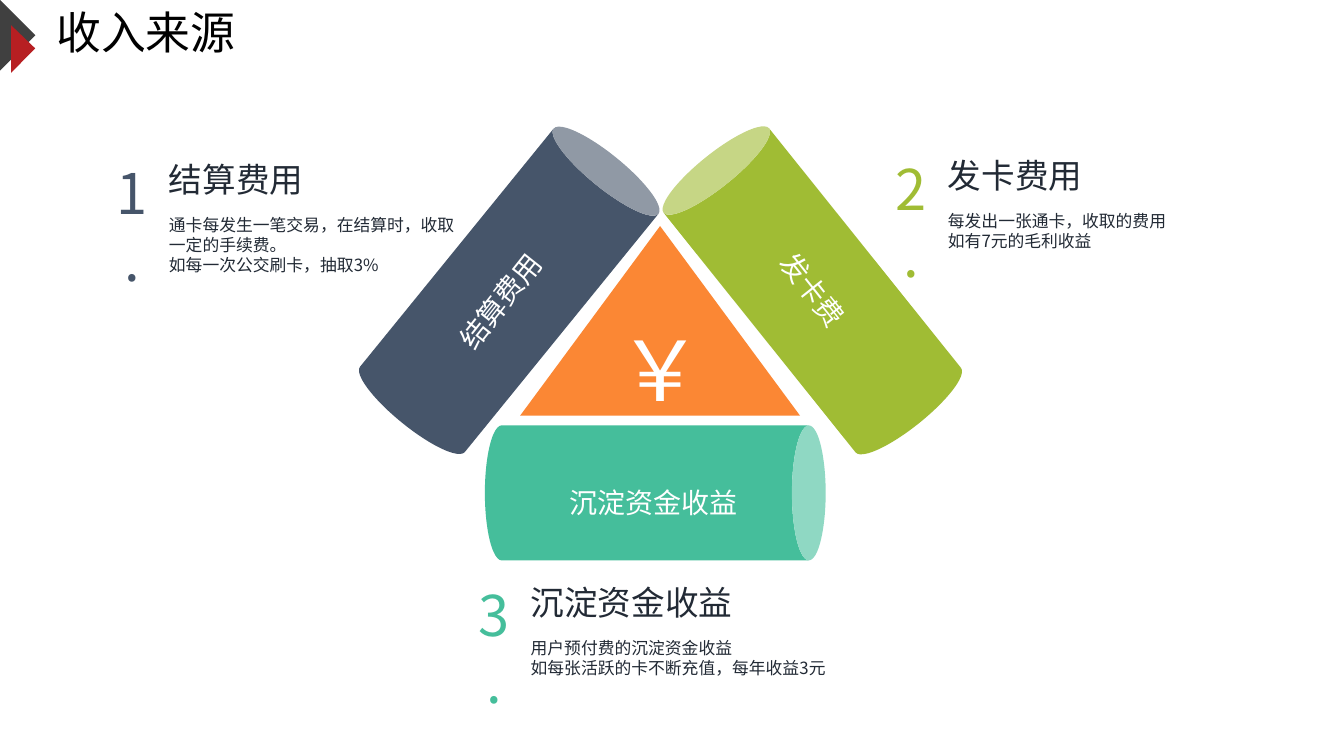
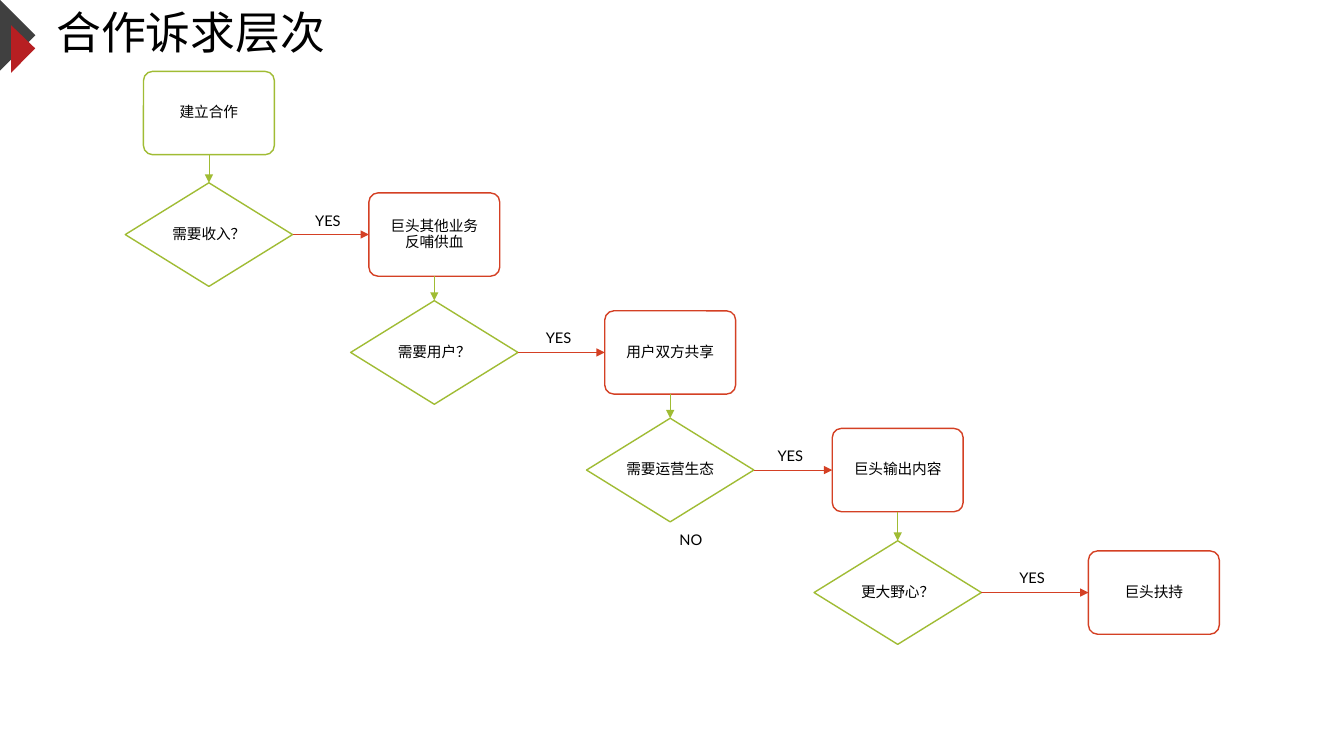
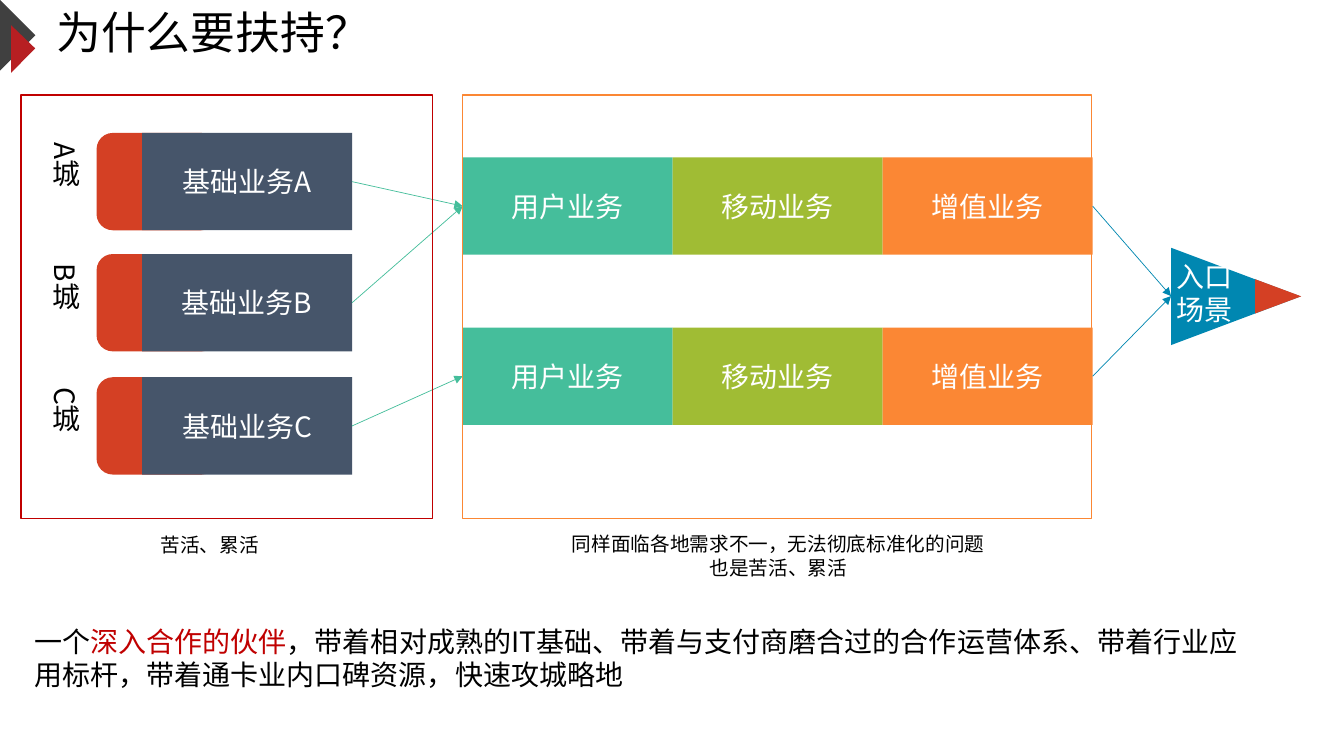
from lxml import etree
from pptx import Presentation
from pptx.dml.color import RGBColor
from pptx.enum import shapes, text
from pptx.oxml import ns
from pptx.util import Pt

SANS, LATIN = "Noto Sans CJK SC", "Lato"
BLACK, WHITE, INK = "000000", "FFFFFF", "222A35"
SLATE, GREEN, TEAL, ORANGE = "46556A", "A0BC34", "45BE9B", "FB8734"
RED, BLUE, CRIMSON = "D44024", "0087B1", "C00000"
KIND = shapes.MSO_SHAPE
LEFT, CENTER = text.PP_ALIGN.LEFT, text.PP_ALIGN.CENTER
TOP, MIDDLE = text.MSO_ANCHOR.TOP, text.MSO_ANCHOR.MIDDLE
TOP_SITE, LEFT_SITE, BOTTOM_SITE, RIGHT_SITE = range(4)


def rgb(value):
    return RGBColor.from_string(value)


class Deck:
    """Holds the shared style and the current slide, measured in points."""

    def __init__(self):
        self.prs = Presentation()
        self.prs.slide_width, self.prs.slide_height = Pt(960), Pt(540)
        self.layout = self.prs.slide_layouts[5]
        self.s = self.prs.slides.add_slide(self.layout)
        self.place(self.layout.placeholders[0], 33, 6.5, 675, 37.5)
        for color, points in (
            ("404040", [(0, 0), (25.2, 25.2), (0, 50.4)]),
            ("B71F22", [(7.9, 18), (25.2, 34.6), (7.9, 52)]),
        ):
            self.layout.shapes.element.append(self.outline(points, color).element)

    def start(self, title):
        if self.s.shapes.title.text_frame.text:
            self.s = self.prs.slides.add_slide(self.layout)
        tf = self.s.shapes.title.text_frame
        tf.auto_size = text.MSO_AUTO_SIZE.NONE
        tf.vertical_anchor = MIDDLE
        self.put_text(tf, title, 32, BLACK, LEFT, spacing=0.9)

    def place(self, sp, x, y, w, h):
        sp.left, sp.top, sp.width, sp.height = Pt(x), Pt(y), Pt(w), Pt(h)

    def paint(self, sp, fill=None, line=None):
        sp.shadow.inherit = False
        if fill:
            sp.fill.solid()
            sp.fill.fore_color.rgb = rgb(fill)
        else:
            sp.fill.background()
        if line:
            sp.line.color.rgb = rgb(line)
            sp.line.width = Pt(1)
        else:
            sp.line.fill.background()
        return sp

    def outline(self, points, fill):
        first, *rest = [(Pt(x), Pt(y)) for x, y in points]
        builder = self.s.shapes.build_freeform(*first)
        builder.add_line_segments(rest, close=True)
        return self.paint(builder.convert_to_shape(), fill)

    def style(self, r, size, color, font=SANS):
        r.font.size = Pt(size)
        r.font.color.rgb = rgb(color)
        r.font.name = font
        etree.SubElement(r.font._element, ns.qn("a:ea"), typeface=SANS)

    def put_text(self, tf, words, size, color, align, font=SANS, spacing=None):
        tf.text = words
        for p in tf.paragraphs:
            p.alignment = align
            p.line_spacing = spacing
            for r in p.runs:
                self.style(r, size, color, font)

    def shape(self, kind, x, y, w, h, fill=None, line=None, words="", size=20, rot=0):
        sp = self.s.shapes.add_shape(kind, Pt(x), Pt(y), Pt(w), Pt(h))
        sp.rotation = rot
        if words:
            sp.text_frame.vertical_anchor = MIDDLE
            self.put_text(sp.text_frame, words, size, WHITE, CENTER)
        return self.paint(sp, fill, line)

    def box(self, x, y, w, h, words, size, color, align=CENTER, anchor=TOP, rot=0):
        sp = self.s.shapes.add_textbox(Pt(x), Pt(y), Pt(w), Pt(h))
        sp.rotation = rot
        tf = sp.text_frame
        tf.word_wrap = True
        tf.vertical_anchor = anchor
        self.put_text(tf, words, size, color, align)
        return sp

    def node(self, kind, x, y, w, h, line, words, margin, wrap):
        sp = self.shape(kind, x, y, w, h, line=line)
        tf = sp.text_frame
        tf.margin_left = tf.margin_right = Pt(margin)
        tf.margin_top = tf.margin_bottom = Pt(3)
        tf.word_wrap = wrap
        tf.vertical_anchor = MIDDLE
        self.put_text(tf, words, 10.5, BLACK, CENTER, LATIN, 0.9)
        return sp

    def label(self, cx, cy, words):
        sp = self.box(cx - 39, cy - 7, 78, 14, words, 10.5, BLACK, anchor=MIDDLE)
        tf = sp.text_frame
        tf.margin_top = tf.margin_bottom = Pt(3)
        self.put_text(tf, words, 10.5, BLACK, CENTER, LATIN, 0.9)

    def arrow(self, color, x1=0, y1=0, x2=0, y2=0):
        c = self.s.shapes.add_connector(
            shapes.MSO_CONNECTOR.STRAIGHT, Pt(x1), Pt(y1), Pt(x2), Pt(y2))
        c.line.color.rgb = rgb(color)
        c.line.width = Pt(0.5)
        spPr = c.element.spPr
        etree.SubElement(spPr.find(ns.qn("a:ln")), ns.qn("a:tailEnd"), type="triangle")
        etree.SubElement(spPr, ns.qn("a:effectLst"))
        return c

    def link(self, color, sp1, site1, sp2, site2):
        c = self.arrow(color)
        c.begin_connect(sp1, site1)
        c.end_connect(sp2, site2)


def income(d):
    d.start("收入来源")
    for x, y, rot, color in ((315.5, 85.7, 39.1, SLATE), (532, 85.7, 321.3, GREEN),
                             (419.8, 230.4, 90, TEAL)):
        d.shape(KIND.CAN, x, y, 96.5, 243.4, color, rot=rot)
    d.shape(KIND.ISOSCELES_TRIANGLE, 371.5, 161.5, 200, 135.5, ORANGE, words="￥", size=60)
    for x, y, rot, words in ((394, 343.5, 0, "沉淀资金收益"), (284.4, 199.4, 308.4, "结算费用"),
                             (507.6, 191.5, 51.6, "发卡费")):
        d.box(x, y, 146, 31.5, words, 20, WHITE, rot=rot)
    sources = (
        (75.6, 109.4, SLATE, "结算费用",
         "通卡每发生一笔交易，在结算时，收取一定的手续费。\n如每一次公交刷卡，抽取3%"),
        (632, 106.6, GREEN, "发卡费用", "每发出一张通卡，收取的费用\n如有7元的毛利收益"),
        (334, 411.2, TEAL, "沉淀资金收益",
         "用户预付费的沉淀资金收益\n如每张活跃的卡不断充值，每年收益3元"),
    )
    for number, (x, y, color, head, body) in enumerate(sources, 1):
        d.box(x + 38, y + 40.5, 228, 36, body, 12, INK, LEFT)
        d.box(x + 38, y + 0.7, 228, 36, head, 24, INK, LEFT)
        d.box(x, y, 38, 104.5, f"{number}.", 40, color)


def cooperation(d):
    d.start("合作诉求层次")
    box_w, box_h, ask_w, ask_h = 93.5, 59.5, 119.5, 74
    offers = ((102.5, 51, "建立合作"), (263.5, 137.8, "巨头其他业务反哺供血"),
              (432, 222, "用户双方共享"), (594.5, 306, "巨头输出内容"),
              (777.5, 393.5, "巨头扶持"))
    questions = ("需要收入？", "需要用户？", "需要运营生态", "更大野心？")
    boxes = [d.node(KIND.ROUNDED_RECTANGLE, x, y, box_w, box_h, RED if i else GREEN, words, 10, True)
             for i, (x, y, words) in enumerate(offers)]
    for sp in boxes:
        sp.adjustments[0] = 0.11
    for i, words in enumerate(questions):
        x, (next_x, next_y, _) = offers[i][0], offers[i + 1]
        ask_x, mid_y = x + (box_w - ask_w) / 2, next_y + box_h / 2
        ask = d.node(KIND.DIAMOND, ask_x, mid_y - ask_h / 2, ask_w, ask_h, GREEN, words, 0, False)
        d.link(GREEN, boxes[i], BOTTOM_SITE, ask, TOP_SITE)
        d.link(RED, ask, RIGHT_SITE, boxes[i + 1], LEFT_SITE)
        d.label((ask_x + ask_w + next_x) / 2 - 2, mid_y - 9.5, "YES")
    d.label(493.5, 386, "NO")


def support(d):
    d.start("为什么要扶持？")
    cell_w, cell_h = 150, 69.5
    bases = []
    for city, y in zip("ABC", (95, 181.5, 269.5)):
        d.shape(KIND.ROUNDED_RECTANGLE, 69, y, 86.5, cell_h, RED)
        bases.append(d.shape(KIND.RECTANGLE, 101.5, y, cell_w, cell_h, SLATE,
                             words=f"基础业务{city}"))
        sp = d.box(27.5, y, 39, cell_h, f"{city}城", 20, BLACK, anchor=MIDDLE)
        sp.element.txBody.bodyPr.set("vert", "eaVert")
    rows = [[d.shape(KIND.RECTANGLE, 330.5 + i * cell_w, y, cell_w, cell_h, color, words=words)
             for i, (color, words) in enumerate(
                 ((TEAL, "用户业务"), (GREEN, "移动业务"), (ORANGE, "增值业务")))]
            for y in (112.5, 234)]
    for base, row in zip(bases, (rows[0], rows[0], rows[1])):
        d.link(TEAL, base, RIGHT_SITE, row[0], LEFT_SITE)
    for x, w, color in ((15, 294, CRIMSON), (330.5, 449, ORANGE)):
        d.shape(KIND.RECTANGLE, x, 68, w, 302.5, line=color)
    d.box(88.5, 377, 122.5, 24.5, "苦活、累活", 14, BLACK, anchor=MIDDLE)
    d.box(332, 376.5, 448, 41, "同样面临各地需求不一，无法彻底标准化的问题\n也是苦活、累活",
          14, BLACK, anchor=MIDDLE)
    d.shape(KIND.ISOSCELES_TRIANGLE, 848, 165.5, 69.5, 92.5, BLUE, rot=90)
    d.shape(KIND.ISOSCELES_TRIANGLE, 900.7, 195.2, 24.5, 33, RED, rot=90)
    d.box(830, 181.5, 60.5, 55.5, "入口\n场景", 20, WHITE, anchor=MIDDLE)
    for row in rows:
        d.arrow(BLUE, 0, 0, 836.5, 211.5).begin_connect(row[-1], RIGHT_SITE)
    sp = d.box(17.5, 442, 889, 55.5, "一个", 20, BLACK, LEFT, MIDDLE)
    for words, color in (
        ("深入合作的伙伴", CRIMSON),
        ("，带着相对成熟的IT基础、带着与支付商磨合过的合作运营体系、带着行业应用标杆，"
         "带着通卡业内口碑资源，快速攻城略地", BLACK),
    ):
        r = sp.text_frame.paragraphs[0].add_run()
        r.text = words
        d.style(r, 20, color)


def main():
    d = Deck()
    for build in (income, cooperation, support):
        build(d)
    d.prs.save("out.pptx")


if __name__ == "__main__":
    main()
